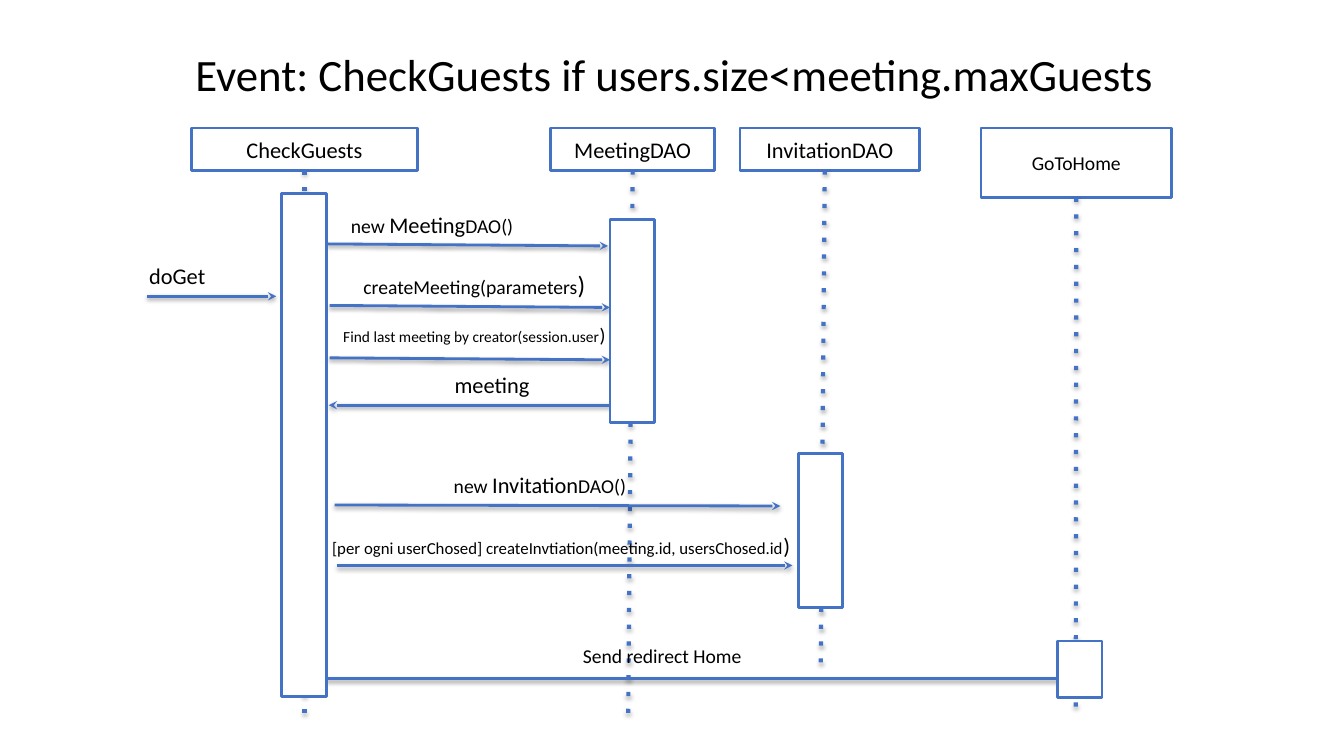
from lxml import etree
from pptx import Presentation
from pptx import util as u
from pptx.dml.color import RGBColor
from pptx.enum import shapes, text
from pptx.oxml import ns

PX = 9144  # EMU per px, 100 px to the inch
BLUE, WHITE, BLACK = "4472C4", "FFFFFF", "000000"
FONT = "Calibri"
LEFT, CENTER = text.PP_ALIGN.LEFT, text.PP_ALIGN.CENTER
TOP, MIDDLE = text.MSO_ANCHOR.TOP, text.MSO_ANCHOR.MIDDLE

# Participants: name, left, top, width, height, font size
HEADERS = [
    ("CheckGuests", 190, 127, 224, 42, 16),
    ("MeetingDAO", 546, 127, 163, 42, 16),
    ("InvitationDAO", 734, 127, 178, 42, 16),
    ("GoToHome", 973, 127, 189, 69, 14),
]
# Lifelines: start x, start y, end x, end y
LIFELINES = [
    (302, 169, 302, 717),
    (627, 169, 623, 717),
    (818, 169, 814, 668),
    (1067, 196, 1067, 706),
]
# Activation bars: left, top, width, height
BARS = [
    (279, 192, 45, 499),
    (605, 218, 44, 201),
    (792, 450, 44, 153),
    (1049, 636, 44, 56),
]
# Messages: arrow ends, label box, alignment, runs of (wording, size)
MESSAGES = [
    ((146, 294, 274, 294), (135, 253, 134, 40), LEFT, [("doGet", 16)]),
    ((325, 242, 603, 244), (335, 202, 235, 34), LEFT,
     [("new ", 14), ("Meeting", 16), ("DAO()", 14)]),
    ((327, 303, 605, 305), (282, 260, 377, 34), CENTER,
     [("createMeeting(parameters", 14), (")", 18)]),
    ((327, 355, 605, 357), (282, 313, 377, 34), CENTER,
     [("Find last meeting by creator(session.user", 11), (")", 14)]),
    ((606, 402, 326, 402), (438, 361, 134, 34), LEFT, [("meeting", 16)]),
    ((332, 501, 774, 502), (437, 460, 235, 34), LEFT,
     [("new ", 14), ("Invitation", 16), ("DAO()", 14)]),
    ((334, 561, 786, 561), (311, 521, 491, 34), CENTER,
     [("[per ogni userChosed] createInvtiation(meeting.id, usersChosed.id", 12),
      (")", 16)]),
    ((324, 673, 1060, 673), (565, 632, 235, 34), LEFT,
     [("Send redirect Home", 14)]),
]


def color(value):
    return RGBColor.from_string(value)


def emu(lengths):
    return [length * PX for length in lengths]


def write(shape, runs, align, anchor):
    """Put one paragraph of sized runs into a shape."""
    frame = shape.text_frame
    frame.word_wrap = True
    frame.vertical_anchor = anchor
    frame.margin_left = frame.margin_right = 13 * PX
    frame.margin_top = frame.margin_bottom = 7 * PX
    paragraph = frame.paragraphs[0]
    paragraph.alignment = align
    for wording, size in runs:
        run = paragraph.add_run()
        run.text = wording
        run.font.name = FONT
        run.font.size = u.Pt(size)
        run.font.color.rgb = color(BLACK)
    return paragraph


def add_label(slide, box, runs, align, anchor=TOP):
    return write(slide.shapes.add_textbox(*emu(box)), runs, align, anchor)


def add_box(slide, box):
    shape = slide.shapes.add_shape(shapes.MSO_SHAPE.RECTANGLE, *emu(box))
    shape.shadow.inherit = False
    shape.fill.solid()
    shape.fill.fore_color.rgb = color(WHITE)
    shape.line.color.rgb = color(BLUE)
    shape.line.width = u.Pt(2)
    return shape


def add_child(parent, tag, **attributes):
    return etree.SubElement(parent, ns.qn(tag), attributes)


def add_line(slide, ends, width, style, distance, opacity):
    """Draw a blue line with a soft shadow; style is a (tag, attributes) pair."""
    line = slide.shapes.add_connector(shapes.MSO_CONNECTOR.STRAIGHT, *emu(ends))
    line.line.color.rgb = color(BLUE)
    line.line.width = u.Pt(width)
    properties = line._element.spPr
    tag, attributes = style
    add_child(properties.find(ns.qn("a:ln")), tag, **attributes)
    effects = add_child(properties, "a:effectLst")
    shadow = add_child(effects, "a:outerShdw", blurRad=str(u.Pt(3.1)),
                       dist=str(u.Pt(distance)), dir="5400000", rotWithShape="0")
    shade = add_child(shadow, "a:srgbClr", val=BLACK)
    add_child(shade, "a:alpha", val=str(opacity * 1000))
    return line


def add_lifeline(slide, ends):
    return add_line(slide, ends, 3, ("a:prstDash", {"val": "dot"}), 1.8, 35)


def add_arrow(slide, ends):
    return add_line(slide, ends, 2, ("a:tailEnd", {"type": "stealth"}), 1.6, 38)


def main():
    presentation = Presentation()
    presentation.slide_width = 1333 * PX
    presentation.slide_height = 750 * PX
    slide = presentation.slides.add_slide(presentation.slide_layouts[6])

    # Title
    title = add_label(slide, (69, 14, 1200, 125),
                      [("Event: CheckGuests if users.size<meeting.maxGuests", 32)],
                      CENTER, MIDDLE)
    title.line_spacing = 0.9

    # Participants with their lifelines
    for (name, *box, size), ends in zip(HEADERS, LIFELINES):
        header = add_box(slide, box)
        write(header, [(name, size)], CENTER, MIDDLE)
        lifeline = add_lifeline(slide, ends)
        left, _, width, _ = box
        if abs(left + width / 2 - ends[0]) <= 1:
            lifeline.begin_connect(header, 2)

    # Messages
    for ends, box, align, runs in MESSAGES:
        add_arrow(slide, ends)
        add_label(slide, box, runs, align)

    # Activation bars
    for box in BARS:
        add_box(slide, box)

    presentation.save("out.pptx")


if __name__ == "__main__":
    main()
